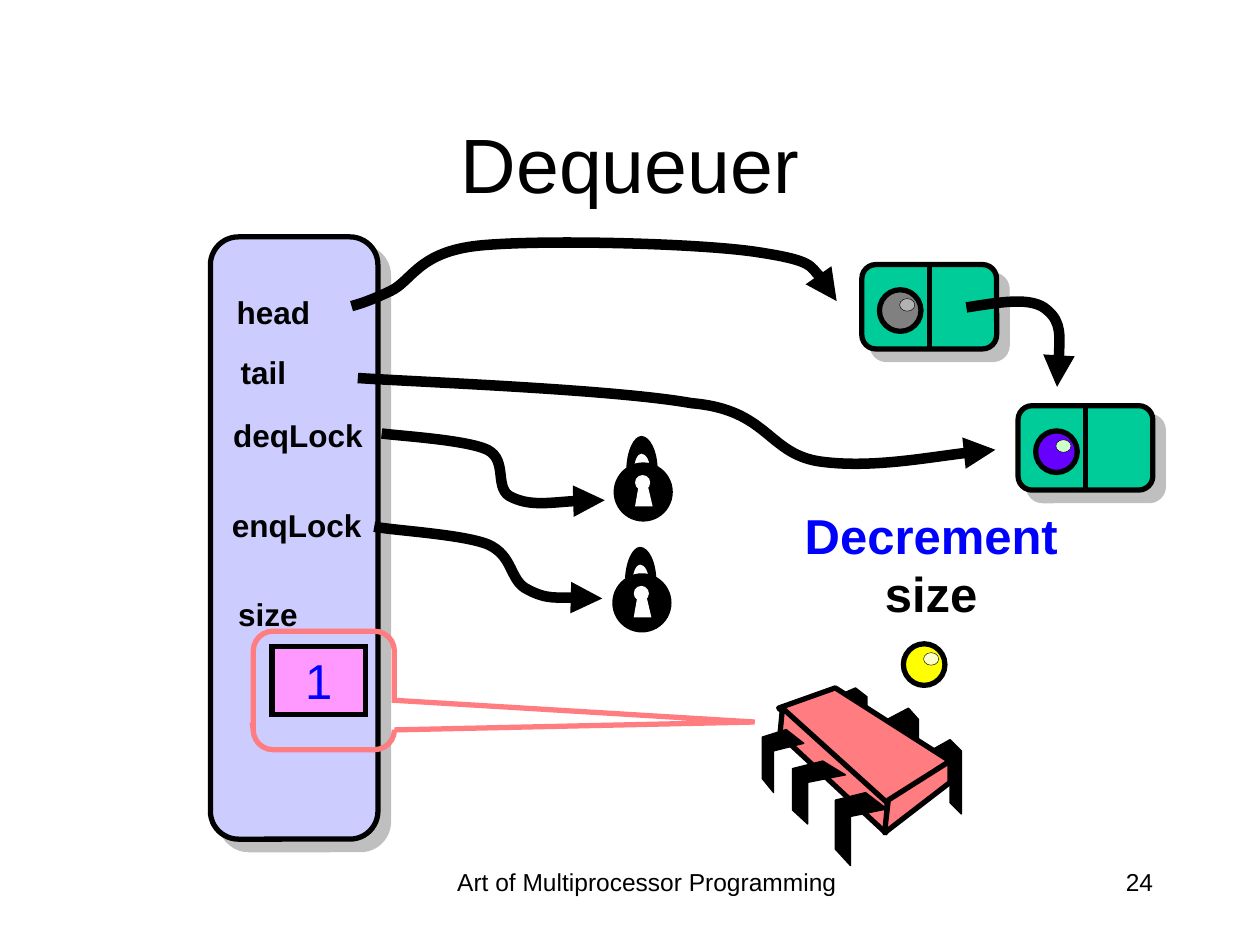
import pptx
import pptx.dml.color
import pptx.enum.shapes
import pptx.enum.text
import pptx.oxml
import pptx.oxml.ns
import pptx.util
from typing import NamedTuple, Optional

Inches = pptx.util.Inches
Pt = pptx.util.Pt
SHAPE = pptx.enum.shapes.MSO_SHAPE
ALIGN = pptx.enum.text.PP_ALIGN
ANCHOR = pptx.enum.text.MSO_ANCHOR
AUTO = pptx.enum.text.MSO_AUTO_SIZE
NS = pptx.oxml.ns.nsdecls("a")
BLACK, WHITE, BLUE, SALMON = "000000", "FFFFFF", "0000FF", "FF7C80"


class Label(NamedTuple):
    text: str
    x: float
    y: float
    w: float


class Node(NamedTuple):
    x: float
    y: float
    ball: str
    shine: str


def rgb(value: str):
    return pptx.dml.color.RGBColor.from_string(value)


def style(sp, fill: Optional[str] = None, line: Optional[str] = None, width: float = 3):
    sp.shadow.inherit = False
    if fill:
        sp.fill.solid()
        sp.fill.fore_color.rgb = rgb(fill)
    else:
        sp.fill.background()
    if line:
        sp.line.color.rgb = rgb(line)
        sp.line.width = Pt(width)
    else:
        sp.line.fill.background()
    return sp


def add_line_part(sp, xml: str) -> None:
    sp.line._get_or_add_ln().append(pptx.oxml.parse_xml(xml))


def add_shape(kind, x, y, w, h, fill=None, line=None, width=3, adj=()):
    sp = s.shapes.add_shape(kind, *map(Inches, (x, y, w, h)))
    for i, value in enumerate(adj):
        sp.adjustments[i] = value
    style(sp, fill, line, width)
    if line:
        add_line_part(sp, f'<a:miter {NS} lim="800000"/>')
    return sp


def add_shadow(sp) -> None:
    effects = sp._element.spPr.find(pptx.oxml.ns.qn("a:effectLst"))
    effects.append(pptx.oxml.parse_xml(
        f'<a:outerShdw {NS} dist="{Pt(8.5)}" dir="2700000" algn="tl" rotWithShape="0">'
        '<a:srgbClr val="808080"><a:alpha val="50000"/></a:srgbClr></a:outerShdw>'))


def add_outline(points, closed: bool = True):
    pts = [(Inches(x), Inches(y)) for x, y in points]
    fb = s.shapes.build_freeform(*pts[0], scale=1.0)
    fb.add_line_segments(pts[1:], close=closed)
    return fb.convert_to_shape()


def add_curve(points, closed: bool = False):
    """A start point, then three points for each cubic segment."""
    sp = add_outline(points, closed)
    steps = list(sp._element.iter(pptx.oxml.ns.qn("a:lnTo")))
    for i in range(0, len(points) - 1, 3):
        cubic = pptx.oxml.parse_xml(f"<a:cubicBezTo {NS}/>")
        steps[i].addprevious(cubic)
        for step in steps[i:i + 3]:
            cubic.append(step[0])
            step.getparent().remove(step)
    return sp


def add_arrow(points) -> None:
    sp = style(add_curve(points), None, BLACK, 6)
    add_line_part(sp, f'<a:tailEnd {NS} type="triangle"/>')


def add_run(p, text: str, size: float, color: str = BLACK, bold: bool = False) -> None:
    r = p.add_run()
    r.text = text
    for name, value in {"name": "Arial", "size": Pt(size), "bold": bold}.items():
        setattr(r.font, name, value)
    r.font.color.rgb = rgb(color)


def add_text(x, y, w, h, runs, align=ALIGN.CENTER, wrap=True, auto=AUTO.NONE) -> None:
    tf = s.shapes.add_textbox(*map(Inches, (x, y, w, h))).text_frame
    tf.word_wrap = wrap
    tf.auto_size = auto
    p = tf.paragraphs[0]
    p.alignment = align
    for run in runs:
        add_run(p, *run)


def add_ball(x: float, y: float, fill: str, shine: str) -> None:
    add_shape(SHAPE.OVAL, x, y, 0.33, 0.33, fill, BLACK)
    add_shape(SHAPE.OVAL, x + 0.16, y + 0.07, 0.12, 0.1, shine, BLACK, 0.25)


def add_node(node: Node) -> None:
    sp = add_shape(SHAPE.ROUNDED_RECTANGLE, node.x, node.y, 1.07, 0.67,
                   "00CC99", BLACK, adj=[0.167])
    add_shadow(sp)
    divider = s.shapes.add_connector(pptx.enum.shapes.MSO_CONNECTOR.STRAIGHT, 0, 0, 0, 0)
    divider.begin_connect(sp, 0)
    divider.end_connect(sp, 2)
    divider.line.color.rgb = rgb(BLACK)
    divider.line.width = Pt(3)
    divider._element.spPr.append(pptx.oxml.parse_xml(f"<a:effectLst {NS}/>"))


def add_lock(x: float, y: float) -> None:
    """Padlock whose round body has its top left corner at x, y."""
    def moved(points):
        return [(x + dx, y + dy) for dx, dy in points]

    add_shape(SHAPE.OVAL, x, y, 0.47, 0.47, BLACK)
    add_shape(SHAPE.OVAL, x + 0.17, y + 0.1, 0.12, 0.12, WHITE)
    slot = [(0.17, 0.35), (0.2, 0.18), (0.27, 0.18), (0.31, 0.35)]
    style(add_outline(moved(slot)), WHITE)
    inner = [(0.16, 0.07), (0.16, -0.01), (0.19, -0.07), (0.22, -0.07),
             (0.26, -0.07), (0.29, -0.01), (0.29, 0.07)]
    outer = [(0.35, 0.07), (0.35, -0.09), (0.29, -0.21), (0.22, -0.21),
             (0.16, -0.21), (0.1, -0.09), (0.1, 0.07)]
    # The straight foot is a cubic whose handles lie on its ends
    shackle = inner + [inner[-1], outer[0]] + outer
    style(add_curve(moved(shackle), True), BLACK)


LABELS = [Label("head", 1.76, 2.28, 0.82), Label("tail", 1.79, 2.75, 0.6),
          Label("deqLock", 1.73, 3.25, 1.27), Label("enqLock", 1.72, 3.97, 1.27),
          Label("size", 1.77, 4.67, 0.71)]
NODES = [Node(6.84, 2.1, "808080", "B2B2B2"), Node(8.08, 3.22, "6600FF", "CCFFCC")]
LOCK_ARROWS = [
    [(3.03, 3.44), (3.17, 3.46), (3.7, 3.49), (3.87, 3.57), (4.04, 3.66),
     (3.91, 3.89), (4.07, 3.95), (4.22, 4.02), (4.65, 3.96), (4.8, 3.97)],
    [(2.97, 4.18), (3.12, 4.21), (3.67, 4.24), (3.87, 4.32), (4.08, 4.41),
     (4.04, 4.61), (4.19, 4.68), (4.34, 4.76), (4.65, 4.74), (4.78, 4.75)]]
NODE_ARROWS = [
    [(7.67, 2.44), (7.93, 2.4), (8.19, 2.35), (8.31, 2.46),
     (8.43, 2.56), (8.41, 2.81), (8.39, 3.07)],
    [(2.84, 3), (3.28, 3.03), (4.88, 3.09), (5.49, 3.2), (6.09, 3.25),
     (6.09, 3.59), (6.49, 3.66), (6.89, 3.72), (7.61, 3.59), (7.9, 3.57)],
    [(2.79, 2.43), (2.86, 2.41), (2.93, 2.39), (3.1, 2.31), (3.27, 2.23),
     (3.32, 2), (3.8, 1.95), (4.29, 1.9), (5.53, 1.93), (6, 2),
     (6.47, 2.07), (6.56, 2.23), (6.64, 2.39)]]
REAR_LEGS = [
    [(7.38, 5.96), (7.54, 5.87), (7.63, 5.96), (7.63, 6.46), (7.54, 6.37), (7.54, 6.04), (7.38, 6.12)],
    [(7.04, 5.71), (7.21, 5.62), (7.29, 5.71), (7.29, 6.21), (7.21, 6.12), (7.21, 5.79), (7.04, 5.87)],
    [(6.63, 5.53), (6.79, 5.46), (6.88, 5.53), (6.88, 5.96), (6.79, 5.88), (6.79, 5.6), (6.63, 5.67)]]
CHIP_FACES = [
    [(6.63, 5.46), (7.54, 6.04), (7.03, 6.39), (6.18, 5.62)],
    [(6.21, 5.62), (7.04, 6.37), (7.03, 6.61), (6.19, 5.83)],
    [(7.54, 6.04), (7.54, 6.21), (7.02, 6.61), (7.05, 6.35)]]
FRONT_LEGS = [
    [(6.87, 6.29), (7.04, 6.42), (6.75, 6.48), (6.75, 6.87), (6.63, 6.74), (6.63, 6.35)],
    [(6.53, 6.04), (6.71, 6.15), (6.41, 6.21), (6.41, 6.54), (6.29, 6.43), (6.29, 6.1)],
    [(6.24, 5.79), (6.38, 5.9), (6.14, 5.96), (6.14, 6.29), (6.05, 6.18), (6.05, 5.85)]]

prs = pptx.Presentation()
prs.slide_width, prs.slide_height = Inches(10), Inches(7.5)
s = prs.slides.add_slide(prs.slide_layouts[5])

# Title and footer
title = s.shapes.title
for name, value in {"left": 0.75, "top": 0.67, "width": 8.5, "height": 1.25}.items():
    setattr(title, name, Inches(value))
title.text_frame.vertical_anchor = ANCHOR.MIDDLE
title.text_frame.paragraphs[0].alignment = ALIGN.CENTER
add_run(title.text_frame.paragraphs[0], "Dequeuer", 44)
add_text(3.41, 6.83, 3.45, 0.5, [("Art of Multiprocessor Programming", 14)])
add_text(7.17, 6.83, 2.08, 0.5, [("24", 14)], ALIGN.RIGHT)

# Queue object with its fields
add_shadow(add_shape(SHAPE.ROUNDED_RECTANGLE, 1.67, 1.88, 1.33, 4.78,
                     "CCCCFF", BLACK, adj=[0.167]))
for label in LABELS:
    add_text(label.x, label.y, label.w, 0.4, [(label.text, 18, BLACK, True)],
             wrap=False, auto=AUTO.SHAPE_TO_FIT_TEXT)
for arrow in LOCK_ARROWS:
    add_arrow(arrow)
counter = add_shape(SHAPE.RECTANGLE, 2.16, 5.13, 0.74, 0.54, "FF99FF", BLACK)
tf = counter.text_frame
tf.word_wrap = False
tf.vertical_anchor = ANCHOR.MIDDLE
tf.paragraphs[0].alignment = ALIGN.CENTER
add_run(tf.paragraphs[0], "1", 28, BLUE)

# Dequeuing thread: ball, chip and caption
add_ball(7.17, 5.11, "FFFF00", "FFFFCC")
for outlines, fill, width in ((REAR_LEGS, BLACK, 0.75), (CHIP_FACES, SALMON, 3),
                              (FRONT_LEGS, BLACK, 0.75)):
    for outline in outlines:
        style(add_outline(outline), fill, BLACK, width)
add_text(5.9, 3.96, 2.98, 1.04,
         [("Decrement ", 28, BLUE, True), ("size", 28, BLACK, True)],
         auto=AUTO.SHAPE_TO_FIT_TEXT)

# List nodes, pointers and values
for node in NODES:
    add_node(node)
for arrow in NODE_ARROWS:
    add_arrow(arrow)
for node in NODES:
    add_ball(node.x + 0.14, node.y + 0.2, node.ball, node.shine)

# Callout around the size counter, and the two locks
add_shape(SHAPE.ROUNDED_RECTANGULAR_CALLOUT, 2.01, 5.01, 1.12, 0.94,
          None, SALMON, adj=[3.053, 0.267, 0.167])
for x, y in ((4.86, 4.55), (4.87, 3.67)):
    add_lock(x, y)

prs.save("out.pptx")
